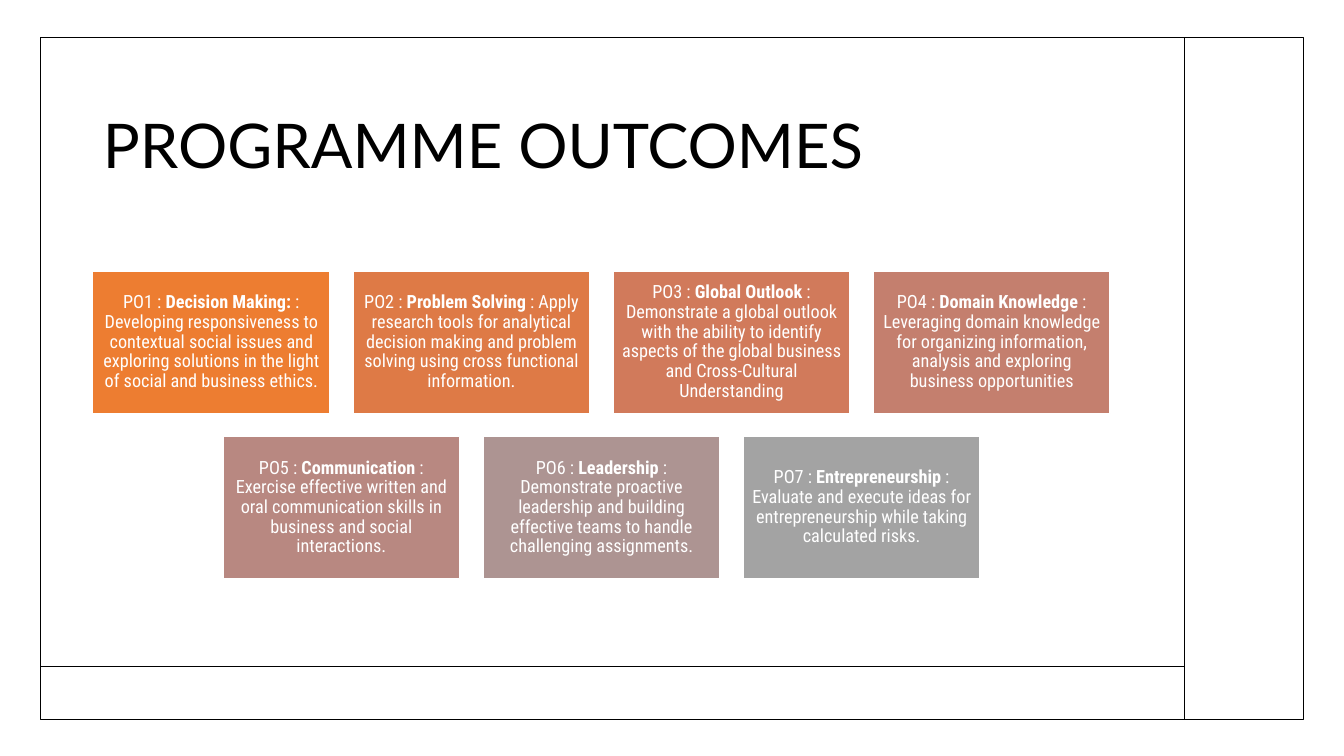
from lxml.etree import SubElement
from pptx import Presentation
from pptx.dml.color import RGBColor
from pptx.enum.shapes import MSO_CONNECTOR, MSO_SHAPE
from pptx.enum.text import MSO_ANCHOR, MSO_AUTO_SIZE, PP_ALIGN
from pptx.oxml.ns import qn
from pptx.util import Inches, Pt

COLORS = {"ink": "000000", "paper": "FFFFFF"}
TITLE_FONT, CARD_FONT = "Lato", "Roboto Condensed"
LEFT, TOP = 0.92, 2.69
CARD_W, CARD_H, GAP = 2.35, 1.41, 0.23
COL_STEP, ROW_STEP = CARD_W + GAP, CARD_H + GAP
COLUMNS = 4

OUTCOMES = [
    ("Decision Making: ", ": Developing responsiveness to contextual social issues and "
     "exploring solutions in the light of social and business ethics.", "ED7D31"),
    ("Problem Solving", " : Apply research tools for analytical decision making and "
     "problem solving using cross functional information.", "DE7A46"),
    ("Global Outlook", " : Demonstrate a global outlook with the ability to identify "
     "aspects of the global business and Cross-Cultural Understanding", "D17A5B"),
    ("Domain Knowledge", " : Leveraging domain knowledge for organizing information, "
     "analysis and exploring business opportunities", "C47F6E"),
    ("Communication", " : Exercise effective written and oral communication skills in "
     "business and social interactions.", "B88881"),
    ("Leadership", " : Demonstrate proactive leadership and building effective teams "
     "to handle challenging assignments.", "AD9492"),
    ("Entrepreneurship", " : Evaluate and execute ideas for entrepreneurship while "
     "taking calculated risks.", "A3A3A3"),
]


def rgb(value):
    return RGBColor.from_string(value)


def style_paragraph(p, font, size, color, align):
    p.alignment = align
    p.line_spacing = 0.9
    p.font.name = font
    p.font.size = Pt(size)
    p.font.color.rgb = rgb(color)


def add_box(s, left, top, width, height, line, fill=None):
    sp = s.shapes.add_shape(MSO_SHAPE.RECTANGLE, Inches(left), Inches(top),
                            Inches(width), Inches(height))
    sp.shadow.inherit = False
    if fill:
        sp.fill.solid()
        sp.fill.fore_color.rgb = rgb(fill)
    else:
        sp.fill.background()
    sp.line.color.rgb = rgb(line)
    sp.line.width = Pt(1)
    return sp


def add_rule(s, x1, y1, x2, y2):
    line = s.shapes.add_connector(MSO_CONNECTOR.STRAIGHT, Inches(x1), Inches(y1),
                                  Inches(x2), Inches(y2))
    line.line.color.rgb = rgb(COLORS["ink"])
    line.line.width = Pt(1)
    SubElement(line._element.spPr, qn("a:effectLst"))


def set_title(s, text):
    sp = s.shapes.title
    sp.left, sp.top = Inches(LEFT), Inches(0.89)
    sp.width, sp.height = Inches(10.09), Inches(1.17)
    tf = sp.text_frame
    tf.text = text
    tf.auto_size = MSO_AUTO_SIZE.NONE
    tf.vertical_anchor = MSO_ANCHOR.MIDDLE
    style_paragraph(tf.paragraphs[0], TITLE_FONT, 44, COLORS["ink"], PP_ALIGN.LEFT)


def add_card(s, left, top, number, name, detail, fill):
    tf = add_box(s, left, top, CARD_W, CARD_H, COLORS["paper"], fill).text_frame
    tf.word_wrap = True
    tf.vertical_anchor = MSO_ANCHOR.MIDDLE
    tf.margin_left = tf.margin_right = tf.margin_top = tf.margin_bottom = Inches(0.05)
    p = tf.paragraphs[0]
    style_paragraph(p, CARD_FONT, 13, COLORS["paper"], PP_ALIGN.CENTER)
    for text, bold in ((f"PO{number} : ", False), (name, True), (detail, False)):
        r = p.add_run()
        r.text = text
        r.font.bold = bold


def add_cards(s):
    for i, outcome in enumerate(OUTCOMES):
        row, col = divmod(i, COLUMNS)
        in_row = min(COLUMNS, len(OUTCOMES) - row * COLUMNS)
        indent = (COLUMNS - in_row) * COL_STEP / 2
        add_card(s, LEFT + indent + col * COL_STEP, TOP + row * ROW_STEP, i + 1, *outcome)


def main():
    prs = Presentation()
    prs.slide_width, prs.slide_height = Inches(13.33), Inches(7.5)
    s = prs.slides.add_slide(prs.slide_layouts[5])
    add_box(s, 0.4, 0.37, 12.53, 6.77, COLORS["ink"])
    set_title(s, "PROGRAMME OUTCOMES")
    add_rule(s, 0.41, 6.61, 11.75, 6.61)
    add_rule(s, 11.75, 0.37, 11.75, 7.13)
    add_cards(s)
    prs.save("out.pptx")


if __name__ == "__main__":
    main()
